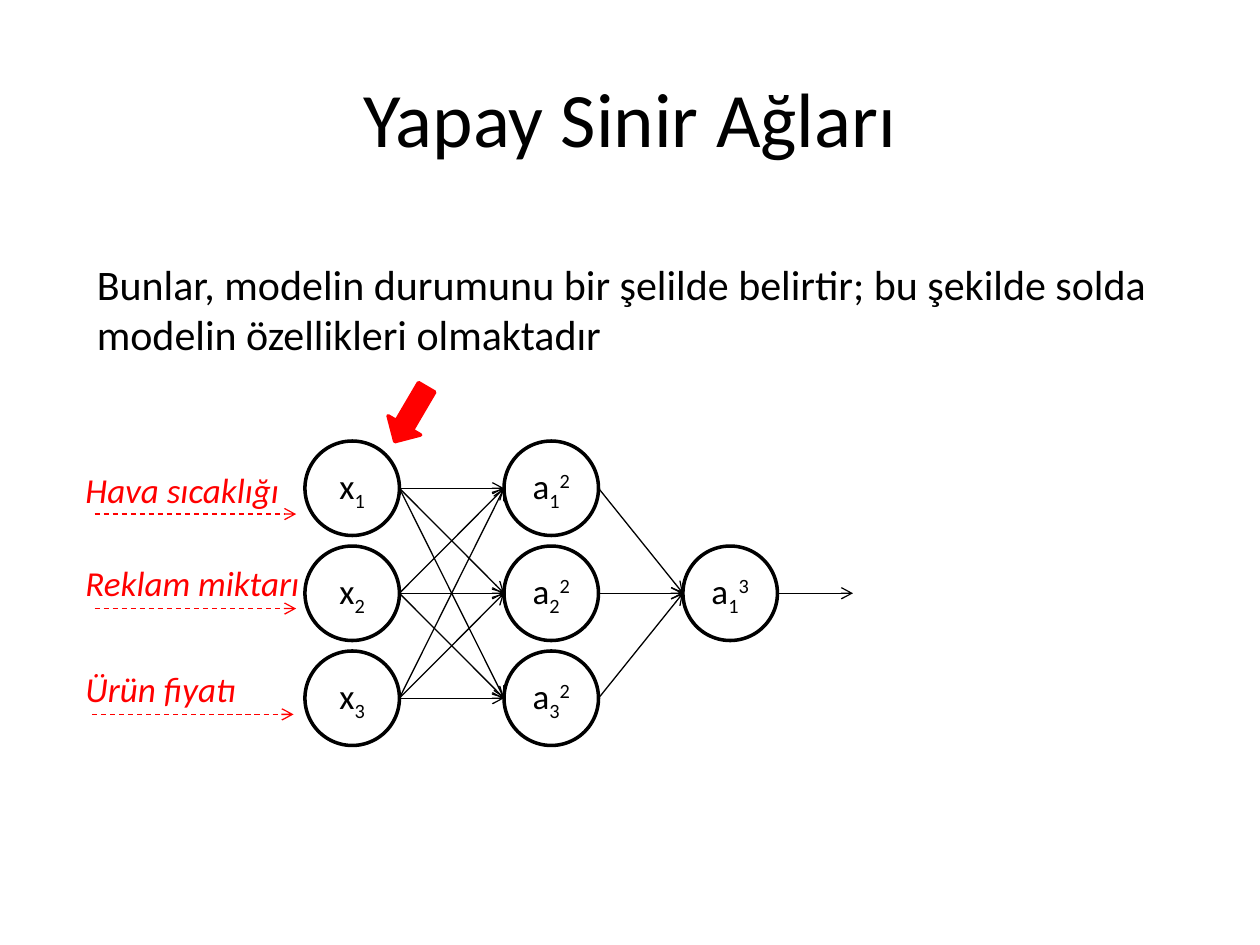
from lxml import etree
from pptx import Presentation, util as u
from pptx.dml.color import RGBColor
from pptx.enum import dml, shapes, text
from pptx.oxml.ns import qn

ink = RGBColor.from_string
BLACK, RED, WHITE = "000000", "FF0000", "FFFFFF"


def write(shape, runs, size, color=BLACK, italic=False, align=text.PP_ALIGN.LEFT,
          anchor=text.MSO_ANCHOR.TOP, wrap=True):
    """Fill a shape with (text, baseline) runs; baseline is in 1/1000 percent."""
    frame = shape.text_frame
    frame.word_wrap, frame.vertical_anchor = wrap, anchor
    para = frame.paragraphs[0]
    para.alignment = align
    for words, base in runs:
        run = para.add_run()
        run.text = words
        look = {"name": "Calibri", "size": u.Pt(size), "italic": italic}
        for key, value in look.items():
            setattr(run.font, key, value)
        run.font.color.rgb = ink(color)
        if base:
            run.font._element.set("baseline", str(base))


def arrow(parent, x1, y1, x2, y2, color=BLACK, dash=None):
    ends = [u.Inches(v) for v in (x1, y1, x2, y2)]
    link = parent.add_connector(shapes.MSO_CONNECTOR.STRAIGHT, *ends)
    link.line.color.rgb = ink(color)
    link.line.width = u.Pt(0.75)
    if dash:
        link.line.dash_style = dash
    etree.SubElement(link.line._get_or_add_ln(), qn("a:tailEnd"), type="arrow")
    etree.SubElement(link._element.spPr, qn("a:effectLst"))


deck = Presentation()
deck.slide_width, deck.slide_height = u.Inches(10), u.Inches(7.5)
slide = deck.slides.add_slide(deck.slide_layouts[6])
items = slide.shapes

# Title
title = items.add_textbox(u.Inches(0.5), u.Inches(0.3), u.Inches(9), u.Inches(1.25))
write(title, [("Yapay Sinir Ağları", 0)], 44, align=text.PP_ALIGN.CENTER,
      anchor=text.MSO_ANCHOR.MIDDLE)

# Network: name, upper index, left edge and rows of each layer
SIZE, TOP, STEP = 0.75, 3.5, 2.5 / 3
layers = [("x", "", 2.42, [0, 1, 2]), ("a", "2", 4, [0, 1, 2]), ("a", "3", 5.42, [1])]
mids = [TOP + SIZE / 2 + row * STEP for row in range(3)]
net = items.add_group_shape().shapes

for name, upper, left, rows in layers:
    for num, row in enumerate(rows, 1):
        node = net.add_shape(shapes.MSO_SHAPE.OVAL, u.Inches(left),
                             u.Inches(TOP + row * STEP), u.Inches(SIZE), u.Inches(SIZE))
        node.shadow.inherit = False
        node.fill.solid()
        node.fill.fore_color.rgb = ink(WHITE)
        node.line.color.rgb = ink(BLACK)
        node.line.width = u.Pt(2)
        runs = [(name, 0), (str(num), -25000)]
        if upper:
            runs.append((upper, 30000))
        write(node, runs, 20, align=text.PP_ALIGN.CENTER,
              anchor=text.MSO_ANCHOR.MIDDLE, wrap=False)

for (_, _, left, rows), (_, _, right, goals) in zip(layers, layers[1:]):
    for row in rows:
        for goal in goals:
            arrow(net, left + SIZE, mids[row], right, mids[goal])
arrow(net, 6.17, mids[1], 6.77, mids[1])

# Input labels, each with a dashed arrow: words, top, width, arrow start, arrow height
inputs = [
    ("Hava sıcaklığı", 3.67, 1.75, 0.75, 4.08),
    ("Reklam miktarı", 4.41, 1.92, 0.75, 4.83),
    ("Ürün fiyatı", 5.25, 1.41, 0.73, 5.67),
]
for words, top, width, start, level in inputs:
    label = items.add_textbox(u.Inches(0.58), u.Inches(top), u.Inches(width), u.Inches(0.44))
    write(label, [(words, 0)], 20, RED, italic=True, wrap=False)
    arrow(items, start, level, start + 1.6, level, RED, dml.MSO_LINE.DASH)

# Pointer and the remark above it
mark = items.add_shape(shapes.MSO_SHAPE.DOWN_ARROW, u.Inches(3.11), u.Inches(3.04),
                       u.Inches(0.3), u.Inches(0.5))
mark.rotation = 30.4
mark.shadow.inherit = False
mark.fill.solid()
mark.fill.fore_color.rgb = mark.line.color.rgb = ink(RED)
mark.line.width = u.Pt(2)

note = items.add_textbox(u.Inches(0.67), u.Inches(2), u.Inches(8.83), u.Inches(0.91))
write(note, [("Bunlar, modelin durumunu bir şelilde belirtir; "
              "bu şekilde solda modelin özellikleri olmaktadır", 0)], 24)

deck.save("out.pptx")
